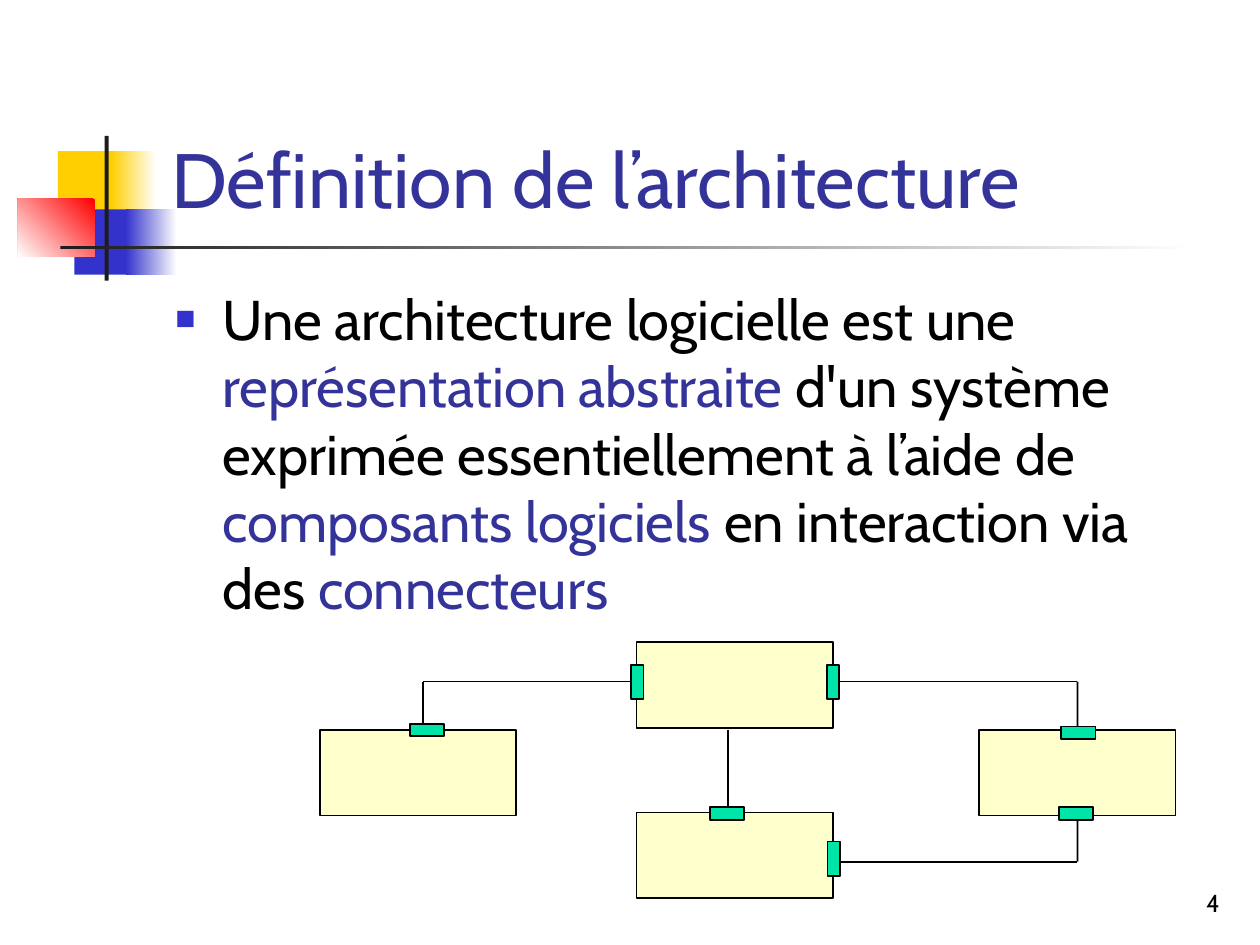
import pptx
import pptx.util
import pptx.dml.color
import pptx.enum.shapes
import pptx.enum.text
import pptx.oxml
import pptx.oxml.ns

Cm, Pt = pptx.util.Cm, pptx.util.Pt
ALIGN, ANCHOR = pptx.enum.text.PP_ALIGN, pptx.enum.text.MSO_ANCHOR

THEME = {
    "font": "Cabin", "title_pt": 44, "body_pt": 32, "number_pt": 14, "line_pt": 1,
    "text": "000000", "accent": "333399", "bullet": "3333CC", "white": "FFFFFF",
    "yellow": "FFCF01", "red": "FF0000", "dark": "1C1C1C",
    "component": "FFFF99", "port": "00E4A8",
}

# Content: text runs as (text, colour); lengths in cm
TITLE = [("Définition de l’architecture", "accent")]
BODY = [
    ("Une architecture logicielle est une ", "text"),
    ("représentation abstraite", "accent"),
    (" d'un système exprimée essentiellement à l’aide de ", "text"),
    ("composants logiciels", "accent"),
    (" en interaction via des ", "text"),
    ("connecteurs", "accent"),
]
NUMBER = [("4", "text")]

# Ornament: box, start colour, end colour (None = solid), angle
ORNAMENT = [
    ((1.17, 3.05, 1.22, 1.32), "yellow", None, 0),
    ((2.24, 3.05, 0.91, 1.32), "yellow", "white", 0),
    ((1.5, 4.22, 1.17, 1.32), "bullet", None, 0),
    ((2.54, 4.22, 1.02, 1.32), "bullet", "white", 0),
    ((0.36, 4.01, 1.55, 1.17), "red", "white", 225),
    ((2.11, 2.74, 0.08, 2.92), "dark", None, 0),
    ((1.22, 4.95, 22.86, 0.08), "dark", "white", 0),
]

# Diagram: component corners, port centres, connector routes
COMPONENT_W, COMPONENT_H = 3.96, 1.73
COMPONENTS = {"left": (6.45, 14.71), "top": (12.83, 12.95),
              "bottom": (12.83, 16.38), "right": (19.74, 14.71)}
PORT_SHORT, PORT_LONG = 0.25, 0.69
SIDE_PORTS = [(16.79, 13.75), (16.81, 17.31), (12.85, 13.75)]
EDGE_PORTS = [(8.61, 14.72), (14.66, 16.4), (21.74, 14.77), (21.69, 16.4)]
RIGHT_X = COMPONENTS["right"][0] + COMPONENT_W / 2
RIGHT_Y = COMPONENTS["right"][1]
# Route points, then the component side its end joins
ROUTES = [
    ([(16.79, 13.74), (RIGHT_X, 13.74), (RIGHT_X, RIGHT_Y)], ("right", 0)),
    ([(16.79, 17.37), (RIGHT_X, 17.37), (RIGHT_X, RIGHT_Y + COMPONENT_H)], ("right", 2)),
    ([(14.68, 14.71), (14.68, 16.46)], None),
    ([(8.53, 14.71), (8.53, 13.74), (12.83, 13.74)], None),
]


def rgb(name):
    return pptx.dml.color.RGBColor.from_string(THEME[name])


def write(shape, runs, *, size, box, align=ALIGN.LEFT, anchor=ANCHOR.TOP, bullet=False):
    shape.left, shape.top, shape.width, shape.height = map(Cm, box)
    tf = shape.text_frame
    tf.auto_size = pptx.enum.text.MSO_AUTO_SIZE.NONE
    tf.word_wrap = True
    tf.vertical_anchor = anchor
    p = tf.paragraphs[0]
    if bullet:
        add_bullet(p)
    p.alignment = align
    p.space_before = Pt(0)
    for text, colour in runs:
        r = p.add_run()
        r.text = text
        r.font.name, r.font.size = THEME["font"], Pt(THEME[size])
        r.font.color.rgb = rgb(colour)


def add_bullet(p):
    pPr = p._p.get_or_add_pPr()
    pPr.set("marL", str(Cm(0.95)))
    pPr.set("indent", str(-Cm(0.95)))
    ns = pptx.oxml.ns.nsdecls("a")
    for xml in (f'<a:buClr {ns}><a:srgbClr val="{THEME["bullet"]}"/></a:buClr>',
                f'<a:buSzPct {ns} val="60000"/>',
                f'<a:buFont {ns} typeface="Arial"/>',
                f'<a:buChar {ns} char="■"/>'):
        pPr.append(pptx.oxml.parse_xml(xml))


def add_box(s, box, colour, end=None, angle=0, outline=False, alpha=None):
    sp = s.shapes.add_shape(pptx.enum.shapes.MSO_SHAPE.RECTANGLE, *map(Cm, box))
    sp.shadow.inherit = False
    if end:
        sp.fill.gradient()
        sp.fill.gradient_angle = angle
        for stop, name, place in zip(sp.fill.gradient_stops, (colour, end), (0, 1)):
            stop.color.rgb, stop.position = rgb(name), place
    else:
        sp.fill.solid()
        sp.fill.fore_color.rgb = rgb(colour)
    if alpha:
        clr = sp._element.spPr.find(".//" + pptx.oxml.ns.qn("a:srgbClr"))
        clr.append(pptx.oxml.parse_xml(
            f'<a:alpha {pptx.oxml.ns.nsdecls("a")} val="{alpha * 1000}"/>'))
    if outline:
        sp.line.color.rgb, sp.line.width = rgb("text"), Pt(THEME["line_pt"])
    else:
        sp.line.fill.background()
    return sp


def add_line(s, start, end):
    line = s.shapes.add_connector(pptx.enum.shapes.MSO_CONNECTOR.STRAIGHT,
                                  *map(Cm, (*start, *end)))
    line.line.color.rgb, line.line.width = rgb("text"), Pt(THEME["line_pt"])
    line._element.spPr.append(pptx.oxml.parse_xml(
        f'<a:effectLst {pptx.oxml.ns.nsdecls("a")}/>'))
    return line


def main():
    prs = pptx.Presentation()
    prs.slide_width, prs.slide_height = Cm(25.4), Cm(19.05)
    s = prs.slides.add_slide(prs.slide_layouts[1])

    # Ornament
    for box, colour, end, angle in ORNAMENT:
        add_box(s, box, colour, end, angle)

    # Components, connectors, then ports on top
    boxes = {name: add_box(s, (x, y, COMPONENT_W, COMPONENT_H), "component",
                           outline=True, alpha=50)
             for name, (x, y) in COMPONENTS.items()}
    for points, joint in ROUTES:
        for start, end in zip(points, points[1:]):
            line = add_line(s, start, end)
        if joint:
            line.end_connect(boxes[joint[0]], joint[1])
    for centres, w, h in ((SIDE_PORTS, PORT_SHORT, PORT_LONG),
                          (EDGE_PORTS, PORT_LONG, PORT_SHORT)):
        for x, y in centres:
            add_box(s, (x - w / 2, y - h / 2, w, h), "port", outline=True)

    # Title and body, brought in front of the ornament
    title, body = s.shapes.title, s.placeholders[1]
    for sp in (title, body):
        s.shapes.element.append(sp.element)
    write(title, TITLE, size="title_pt", box=(3.2, 0.58, 21.64, 4.06), anchor=ANCHOR.BOTTOM)
    write(body, BODY, size="body_pt", box=(3.28, 5.61, 21.59, 11.43), bullet=True)

    # Slide number
    number = s.shapes.add_textbox(0, 0, 0, 0)
    write(number, NUMBER, size="number_pt", box=(19.56, 17.35, 5.28, 1.27),
          align=ALIGN.RIGHT, anchor=ANCHOR.BOTTOM)

    prs.save("out.pptx")


if __name__ == "__main__":
    main()
